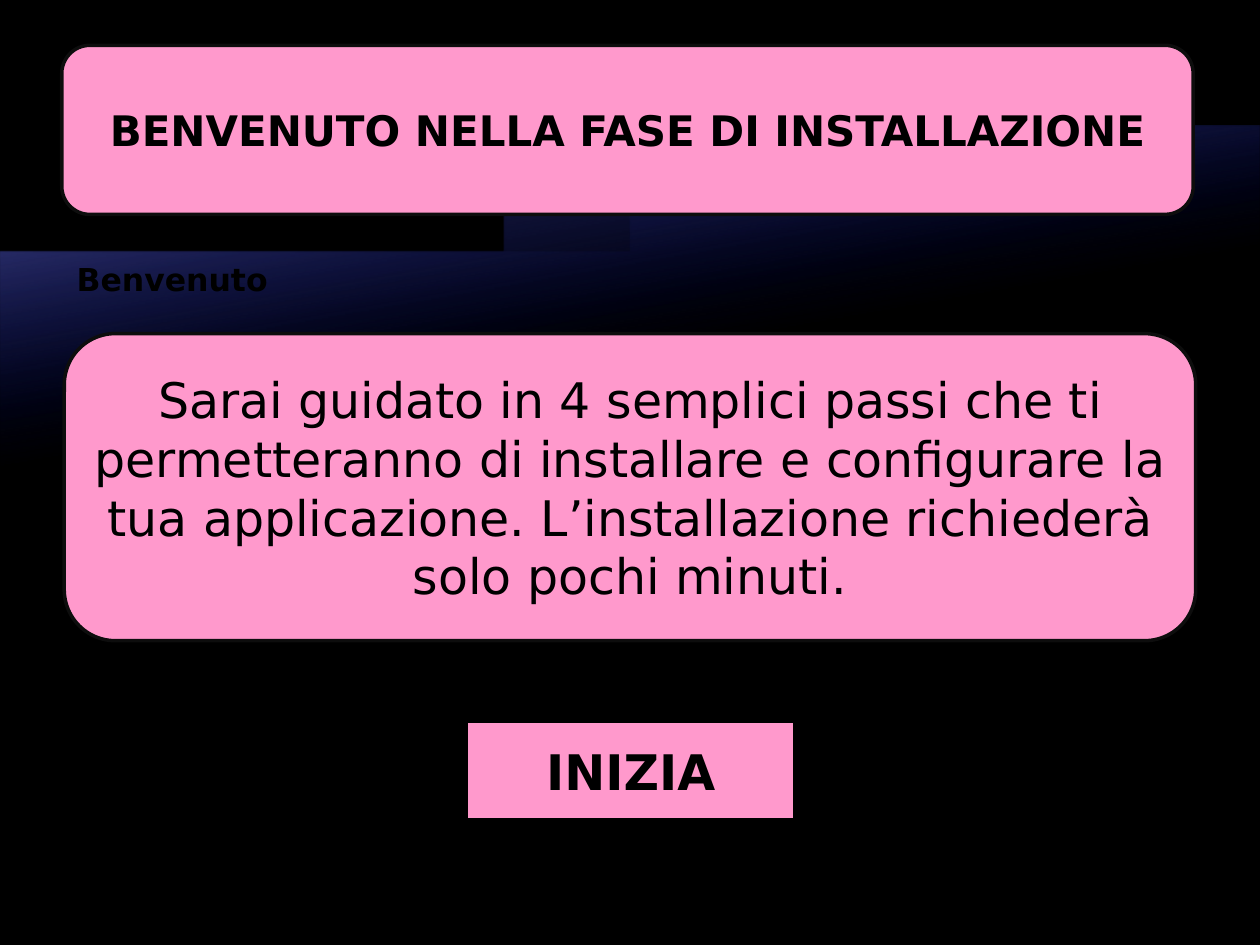
from lxml.etree import SubElement
from pptx import Presentation
from pptx.dml.color import RGBColor
from pptx.enum.shapes import MSO_SHAPE as Preset
from pptx.enum.text import MSO_ANCHOR as Anchor, MSO_AUTO_SIZE as AutoSize, PP_ALIGN as Align
from pptx.oxml.ns import qn
from pptx.util import Inches, Pt

WIDTH, HEIGHT = 10, 7.5
FONT = "DejaVu Sans"
PINK, BLACK, OUTLINE = "FF99CC", "000000", "0D0D0D"
CURVE_STEPS = 60


def color(value):
    return RGBColor.from_string(value)


def place(left, top, width, height):
    """Turn shares of the slide's size into lengths."""
    return [Inches(share * size) for share, size in
            zip((left, top, width, height), (WIDTH, HEIGHT) * 2)]


def bezier(points):
    """Sample a cubic curve given by its four points."""
    for step in range(CURVE_STEPS + 1):
        t = step / CURVE_STEPS
        weights = ((1 - t) ** 3, 3 * t * (1 - t) ** 2, 3 * t ** 2 * (1 - t), t ** 3)
        yield tuple(sum(w * p[axis] for w, p in zip(weights, points)) for axis in (0, 1))


def add_wave(slide, crest, bottom, glow, opacity):
    """Add a band under a curved crest that fades out downwards."""
    start, *outline = bezier(crest)
    builder = slide.shapes.build_freeform(*start, scale=Inches(1))
    builder.add_line_segments([*outline, (WIDTH, bottom), (0, bottom)], close=True)
    wave = builder.convert_to_shape()
    wave.shadow.inherit = False
    wave.line.fill.background()
    wave.fill.gradient()
    wave.fill.gradient_angle = 280
    fades = ((0, glow, opacity), (0.35, "000D9E", 0))
    for stop, (position, tint, alpha) in zip(wave.fill.gradient_stops, fades):
        stop.position = position
        stop.color.rgb = color(tint)
    for node, (_, _, alpha) in zip(wave.element.spPr.iter(qn("a:srgbClr")), fades):
        SubElement(node, qn("a:alpha"), val=str(alpha * 1000))


def write(frame, text, align, size, bold=False, **frame_format):
    for name, value in frame_format.items():
        setattr(frame, name, value)
    paragraph = frame.paragraphs[0]
    paragraph.alignment = align
    run = paragraph.add_run()
    run.text = text
    for name, value in {"name": FONT, "size": Pt(size), "bold": bold}.items():
        setattr(run.font, name, value)
    run.font.color.rgb = color(BLACK)


def add_panel(slide, box, text, size, bold=False, border=OUTLINE, rounding=None):
    panel = slide.shapes.add_shape(Preset.ROUNDED_RECTANGLE, *place(*box))
    panel.shadow.inherit = False
    if rounding is not None:
        panel.adjustments[0] = rounding
    panel.fill.solid()
    panel.fill.fore_color.rgb = color(PINK)
    panel.line.color.rgb = color(border)
    panel.line.width = Pt(2)
    write(panel.text_frame, text, Align.CENTER, size, bold,
          word_wrap=True, vertical_anchor=Anchor.MIDDLE)


def add_label(slide, box, text, size):
    label = slide.shapes.add_textbox(*place(*box))
    write(label.text_frame, text, Align.LEFT, size, True,
          word_wrap=False, auto_size=AutoSize.SHAPE_TO_FIT_TEXT)


def main():
    deck = Presentation()
    deck.slide_width, deck.slide_height = Inches(WIDTH), Inches(HEIGHT)
    slide = deck.slides.add_slide(deck.slide_layouts[6])
    slide.background.fill.solid()
    slide.background.fill.fore_color.rgb = color(BLACK)

    add_wave(slide, [(0, 2.13), (5, 2.13), (5.34, 0.05), (10, 1.25)], 7.33, "797FFF", 55)
    add_wave(slide, [(0, 2.13), (5, 2.13), (5.98, 0.31), (10, 1.47)], 6.37, "A3A7FF", 30)

    add_panel(slide, (0.049, 0.048, 0.898, 0.179),
              "BENVENUTO NELLA FASE DI INSTALLAZIONE", 24, bold=True)
    add_panel(slide, (0.051, 0.353, 0.898, 0.325),
              "Sarai guidato in 4 semplici passi che ti permetteranno di installare e "
              "configurare la tua applicazione. L’installazione richiederà solo pochi minuti.", 28)
    add_panel(slide, (0.37, 0.763, 0.261, 0.105), "INIZIA", 28,
              bold=True, border=BLACK, rounding=0)
    add_label(slide, (0.051, 0.269, 0.173, 0.053), "Benvenuto", 18)

    deck.save("out.pptx")


if __name__ == "__main__":
    main()
